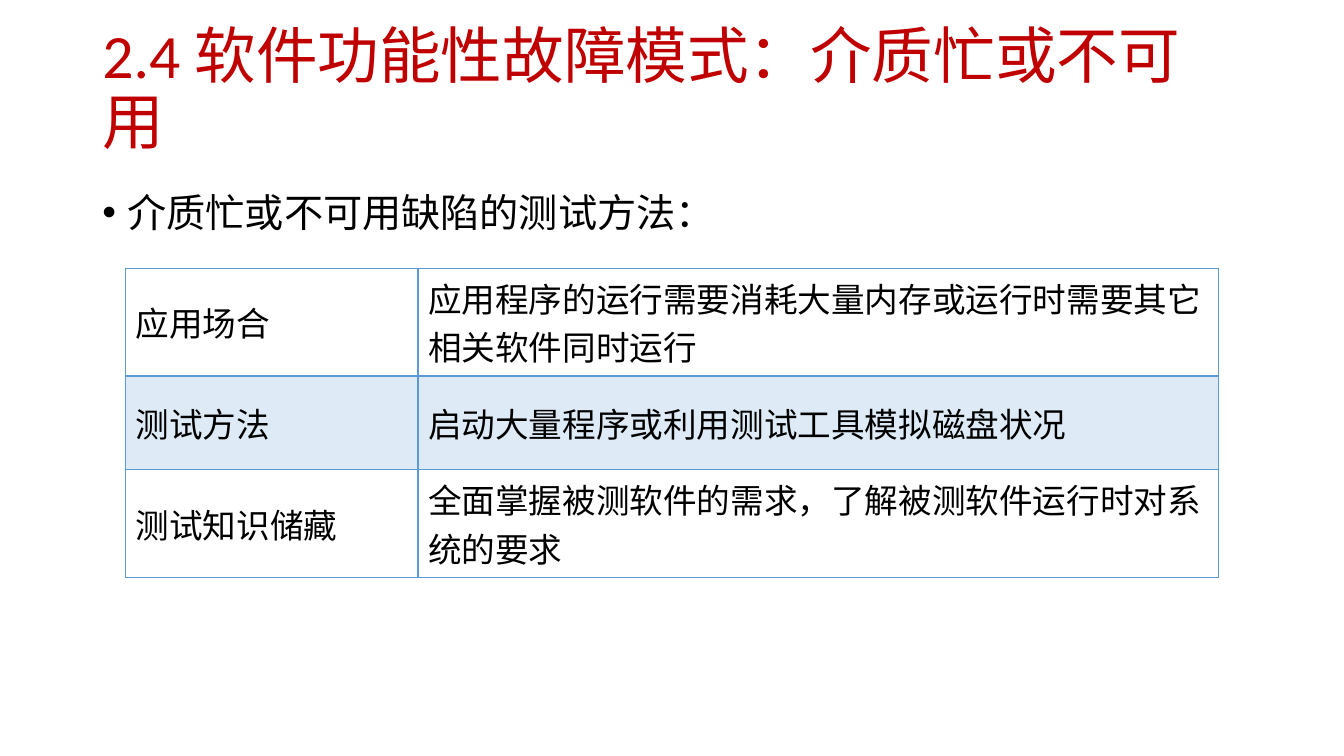
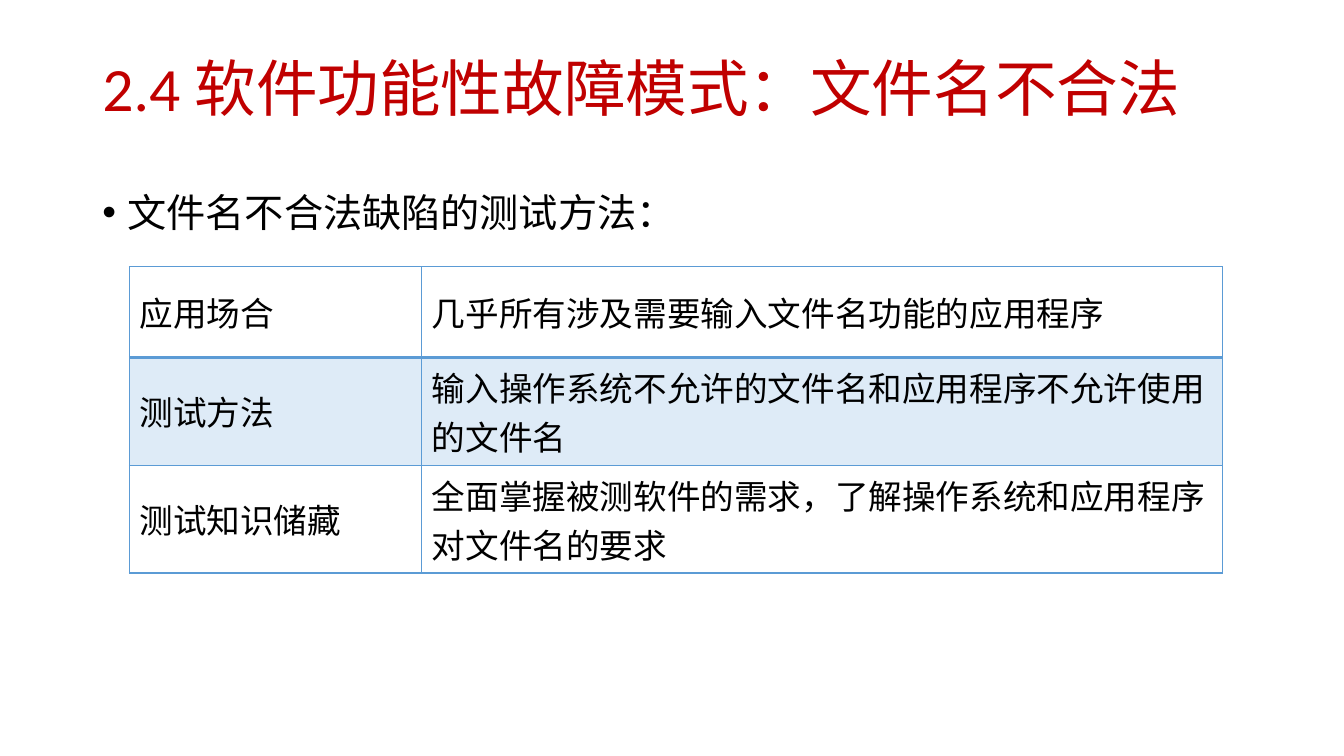
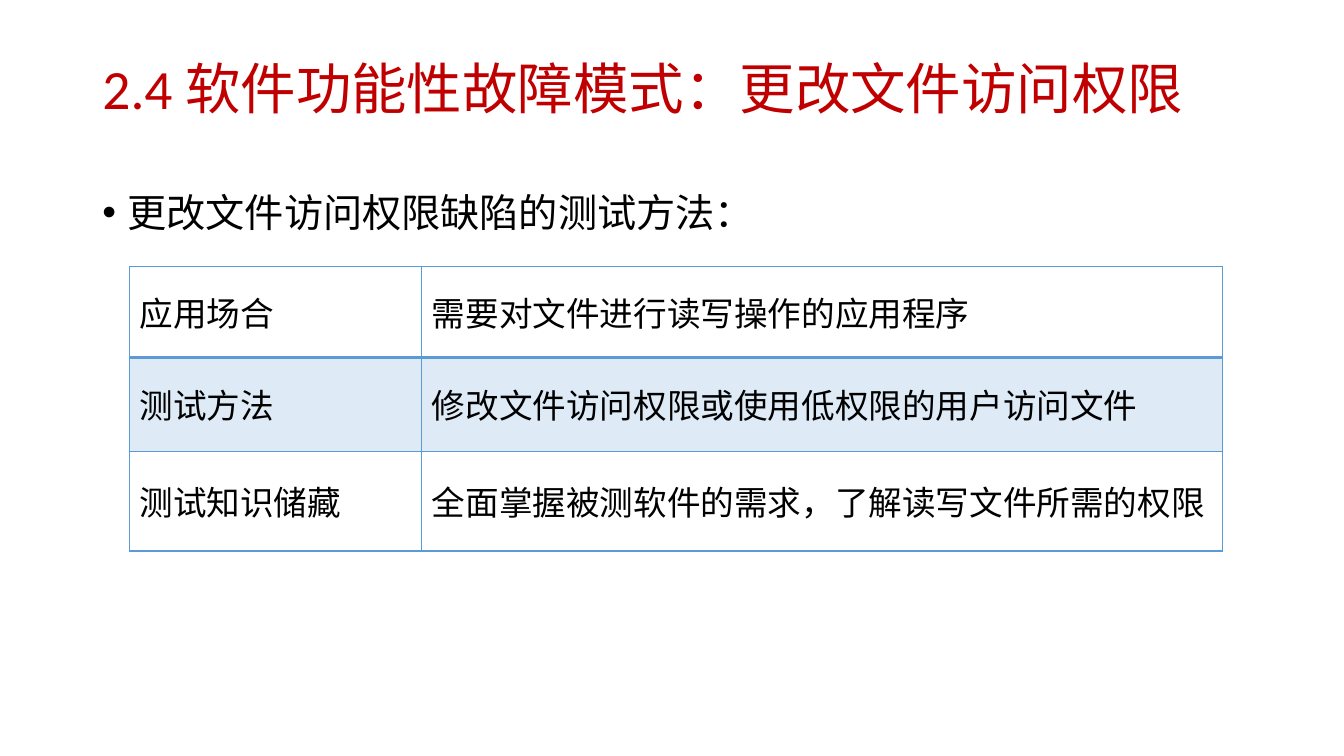
from lxml import etree
from pptx import Presentation
from pptx.dml.color import RGBColor
from pptx.enum.text import MSO_ANCHOR, MSO_AUTO_SIZE, PP_ALIGN
from pptx.oxml.ns import qn
from pptx.util import Pt

COLORS = {"title": "C00000", "text": "000000", "border": "5B9BD5",
          "band": "DEEBF7", "page": "FFFFFF"}
LATIN, CHINESE = "Calibri", "Noto Sans CJK SC"
TITLE_BOX = (66, 29, 828, 73)
LEAD_BOX = (66, 121, 828, 365)
TITLE_START = "2.4 软件功能性故障模式："
LABELS = ("应用场合", "测试方法", "测试知识储藏")
COLUMN_WIDTHS = (208.8, 571.7)
ROW_HEIGHTS = (64.8, 67, 71.3)
TWO_LINE_HEIGHT = 77
CELL_SIZE, CELL_MARGIN = 24, 7.2

SLIDES = [
    {"fault": "介质忙或不可用", "title_size": 44, "table_at": (89.75, 191.5),
     "details": ("应用程序的运行需要消耗大量内存或运行时需要其它相关软件同时运行",
                 "启动大量程序或利用测试工具模拟磁盘状况",
                 "全面掌握被测软件的需求，了解被测软件运行时对系统的要求")},
    {"fault": "文件名不合法", "title_size": 44, "table_at": (92.5, 190.5),
     "details": ("几乎所有涉及需要输入文件名功能的应用程序",
                 "输入操作系统不允许的文件名和应用程序不允许使用的文件名",
                 "全面掌握被测软件的需求，了解操作系统和应用程序对文件名的要求")},
    {"fault": "更改文件访问权限", "title_size": 39.6, "table_at": (92.5, 190.5),
     "details": ("需要对文件进行读写操作的应用程序",
                 "修改文件访问权限或使用低权限的用户访问文件",
                 "全面掌握被测软件的需求，了解读写文件所需的权限")},
]


def rgb(name):
    return RGBColor.from_string(COLORS[name])


def add_text(para, text, size, color="text", font=CHINESE):
    """Append a formatted run."""
    span = para.add_run()
    span.text = text
    span.font.size = Pt(size)
    span.font.color.rgb = rgb(color)
    span.font.name = font
    etree.SubElement(span.font._element, qn("a:ea"), typeface=CHINESE)


def add_title(page, box, text, size):
    title = page.shapes.title
    title.left, title.top, title.width, title.height = map(Pt, box)
    frame = title.text_frame
    frame.word_wrap = True
    frame.auto_size = MSO_AUTO_SIZE.NONE
    frame.vertical_anchor = MSO_ANCHOR.MIDDLE
    para = frame.paragraphs[0]
    para.alignment = PP_ALIGN.LEFT
    para.line_spacing = 0.9
    add_text(para, text, size, "title", LATIN)


def add_lead(page, box, text):
    """Place the bulleted line that introduces the table."""
    frame = page.shapes.add_textbox(*map(Pt, box)).text_frame
    frame.word_wrap = True
    para = frame.paragraphs[0]
    para.line_spacing = 1.3
    props = para._p.get_or_add_pPr()
    props.set("marL", str(Pt(18)))
    props.set("indent", str(-Pt(18)))
    etree.SubElement(props, qn("a:buFont"), typeface="Arial")
    etree.SubElement(props, qn("a:buChar"), char="•")
    add_text(para, text, 28)


def set_borders(cell, **widths):
    """Draw cell edges; keys are L, R, T, B in that order, values points."""
    props = cell._tc.get_or_add_tcPr()
    for index, (side, width) in enumerate(widths.items()):
        line = etree.Element(qn(f"a:ln{side}"), w=str(Pt(width)))
        fill = etree.SubElement(line, qn("a:solidFill"))
        etree.SubElement(fill, qn("a:srgbClr"), val=COLORS["border"])
        props.insert(index, line)


def fit_row(height, detail):
    """Return the row height, raised when the detail needs two lines."""
    wraps = len(detail) * CELL_SIZE > COLUMN_WIDTHS[1] - 2 * CELL_MARGIN
    return max(height, TWO_LINE_HEIGHT) if wraps else height


def add_method_table(page, corner, details):
    heights = [fit_row(*pair) for pair in zip(ROW_HEIGHTS, details)]
    box = (*corner, sum(COLUMN_WIDTHS), sum(heights))
    table = page.shapes.add_table(len(LABELS), 2, *map(Pt, box)).table
    table.first_row = table.horz_banding = False
    for column, width in zip(table.columns, COLUMN_WIDTHS):
        column.width = Pt(width)
    for row, height in zip(table.rows, heights):
        row.height = Pt(height)
    for r, texts in enumerate(zip(LABELS, details)):
        for c, text in enumerate(texts):
            cell = table.cell(r, c)
            cell.vertical_anchor = MSO_ANCHOR.MIDDLE
            cell.margin_left = cell.margin_right = Pt(CELL_MARGIN)
            cell.fill.solid()
            cell.fill.fore_color.rgb = rgb("band" if r == 1 else "page")
            set_borders(cell, L=1, R=1, T=2 if r == 1 else 1, B=2 if r == 0 else 1)
            add_text(cell.text_frame.paragraphs[0], text, CELL_SIZE)


def main():
    deck = Presentation()
    deck.slide_width, deck.slide_height = Pt(960), Pt(540)
    title_only = deck.slide_layouts[5]
    for content in SLIDES:
        page = deck.slides.add_slide(title_only)
        fault = content["fault"]
        add_title(page, TITLE_BOX, TITLE_START + fault, content["title_size"])
        add_lead(page, LEAD_BOX, fault + "缺陷的测试方法：")
        add_method_table(page, content["table_at"], content["details"])
    deck.save("out.pptx")


if __name__ == "__main__":
    main()
